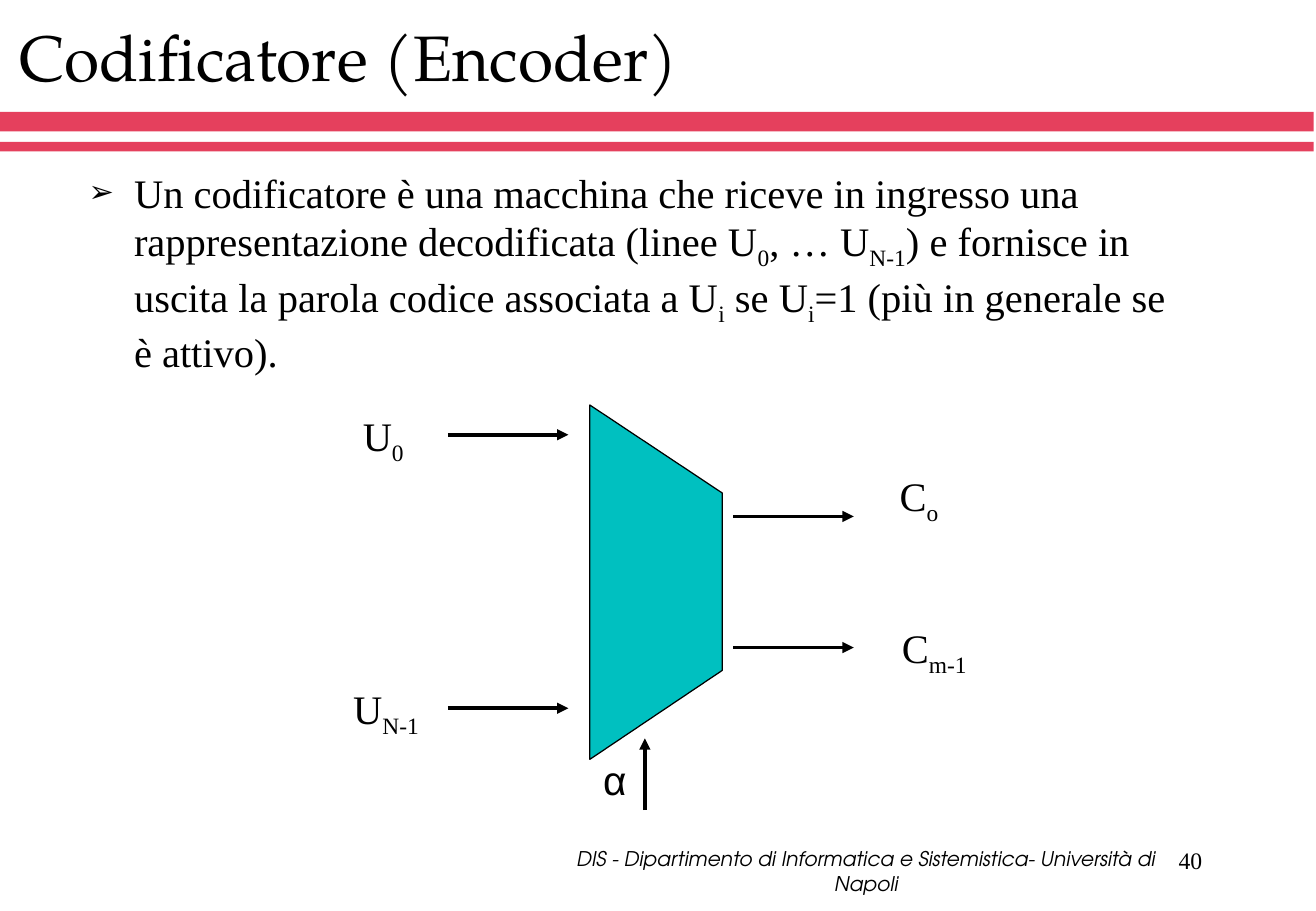
from lxml.etree import SubElement as Sub
from pptx import Presentation
from pptx.dml.color import RGBColor
from pptx.enum.shapes import MSO_CONNECTOR as Link, MSO_SHAPE as Kind
from pptx.enum.text import MSO_ANCHOR as Anchor, MSO_AUTO_SIZE as Fit, PP_ALIGN as Align
from pptx.oxml.ns import qn
from pptx.util import Cm, Pt

# Content: text between underscores is subscript
TITLE = "Codificatore (Encoder)"
BODY = ("Un codificatore è una macchina che riceve in ingresso una rappresentazione "
        "decodificata (linee U_0_, … U_N-1_) e fornisce in uscita la parola codice "
        "associata a U_i_ se U_i_=1 (più in generale se è attivo).")
FOOTER = "DIS - Dipartimento di Informatica e Sistemistica- Università di Napoli"
PAGE = "40"
SERIF, SANS, HEAD, FOOT = "Times New Roman", "Arial", "TeX Gyre Pagella", "TeX Gyre Adventor"
RED, TEAL, BLACK = "E5405D", "00C0C0", "000000"

# Positions in cm
WIDE, HIGH = 27.53, 19.05
BARS = [(2.34, 0.41), (2.97, 0.2)]  # top, height
TRAP = [(12.34, 8.47), (15.11, 10.31), (15.11, 14.02), (12.34, 15.88)]
REACH = 2.52
IN_X, OUT_X = 9.37, 15.34
ARROWS = [(x, y, x + REACH, y)
          for x, rows in ((IN_X, (9.09, 14.81)), (OUT_X, (10.8, 13.54)))
          for y in rows] + [(13.49, 16.94, 13.49, 15.44)]
LABELS = [("U_0_", 7.34, 8.46, SERIF), ("U_N-1_", 7.14, 14.17, SERIF),
          ("C_o_", 18.57, 9.73, SERIF), ("C_m-1_", 18.62, 12.9, SERIF),
          ("α", 12.37, 15.67, SANS)]


def color(code):
    return RGBColor.from_string(code)


def write(box, text, font=SERIF, size=24, align=Align.LEFT, anchor=Anchor.TOP,
          italic=False):
    frame = box.text_frame
    frame.auto_size = Fit.NONE
    frame.word_wrap = True
    frame.vertical_anchor = anchor
    para = frame.paragraphs[0]
    para.alignment = align
    para.space_before = Pt(0)
    for i, part in enumerate(text.split("_")):
        if not part:
            continue
        run = para.add_run()
        run.text = part
        run.font.name, run.font.size = font, Pt(size)
        run.font.italic = italic
        run.font.color.rgb = color(BLACK)
        if i % 2:
            run.font._element.set("baseline", "-25000")
    return para


def place(shape, *spot):
    shape.left, shape.top, shape.width, shape.height = map(Cm, spot)
    return shape


def paint(shape, fill):
    shape.shadow.inherit = False
    shape.fill.solid()
    shape.fill.fore_color.rgb = color(fill)


deck = Presentation()
deck.slide_width, deck.slide_height = Cm(WIDE), Cm(HIGH)
slide = deck.slides.add_slide(deck.slide_layouts[1])
shapes = slide.shapes

# Red bars
for top, tall in BARS:
    bar = shapes.add_shape(Kind.RECTANGLE, 0, Cm(top), Cm(27.48), Cm(tall))
    paint(bar, RED)
    bar.line.fill.background()

# Title and bullet
title = place(shapes.title, 0.15, 0.41, 23.39, 1.7)
write(title, TITLE, font=HEAD, size=38, anchor=Anchor.BOTTOM)
body = place(slide.placeholders[1], 1.6, 3.38, 23.39, 11.43)
props = write(body, BODY)._p.get_or_add_pPr()
props.set("marL", str(Cm(0.95)))
props.set("indent", str(-Cm(0.95)))
Sub(Sub(props, qn("a:buClr")), qn("a:srgbClr"), val=BLACK)
Sub(props, qn("a:buSzPct"), val="75000")
Sub(props, qn("a:buChar"), char="➢")

# Encoder
first, *rest = [(Cm(x), Cm(y)) for x, y in TRAP]
pen = shapes.build_freeform(*first)
pen.add_line_segments(rest, close=True)
coder = pen.convert_to_shape()
paint(coder, TEAL)
coder.line.color.rgb = color(BLACK)
coder.line.width = Pt(0.75)

# Arrows
for ends in ARROWS:
    arrow = shapes.add_connector(Link.STRAIGHT, *map(Cm, ends))
    arrow.line.color.rgb = color(BLACK)
    arrow.line.width = Pt(2.25)
    Sub(arrow.line._get_or_add_ln(), qn("a:tailEnd"), type="triangle")
    Sub(arrow._element.spPr, qn("a:effectLst"))

# Labels
for text, x, y, font in LABELS:
    write(shapes.add_textbox(Cm(x), Cm(y), Cm(2.2), Cm(1.4)), text, font=font)

# Footer and page number
foot = shapes.add_textbox(Cm(11.43), Cm(17.83), Cm(13.39), Cm(0.76))
write(foot, FOOTER, font=FOOT, size=12, align=Align.CENTER, anchor=Anchor.MIDDLE,
      italic=True)
page = shapes.add_textbox(Cm(19.69), Cm(17.35), Cm(5.71), Cm(1.27))
write(page, PAGE, size=14, align=Align.RIGHT, anchor=Anchor.MIDDLE)

deck.save("out.pptx")
